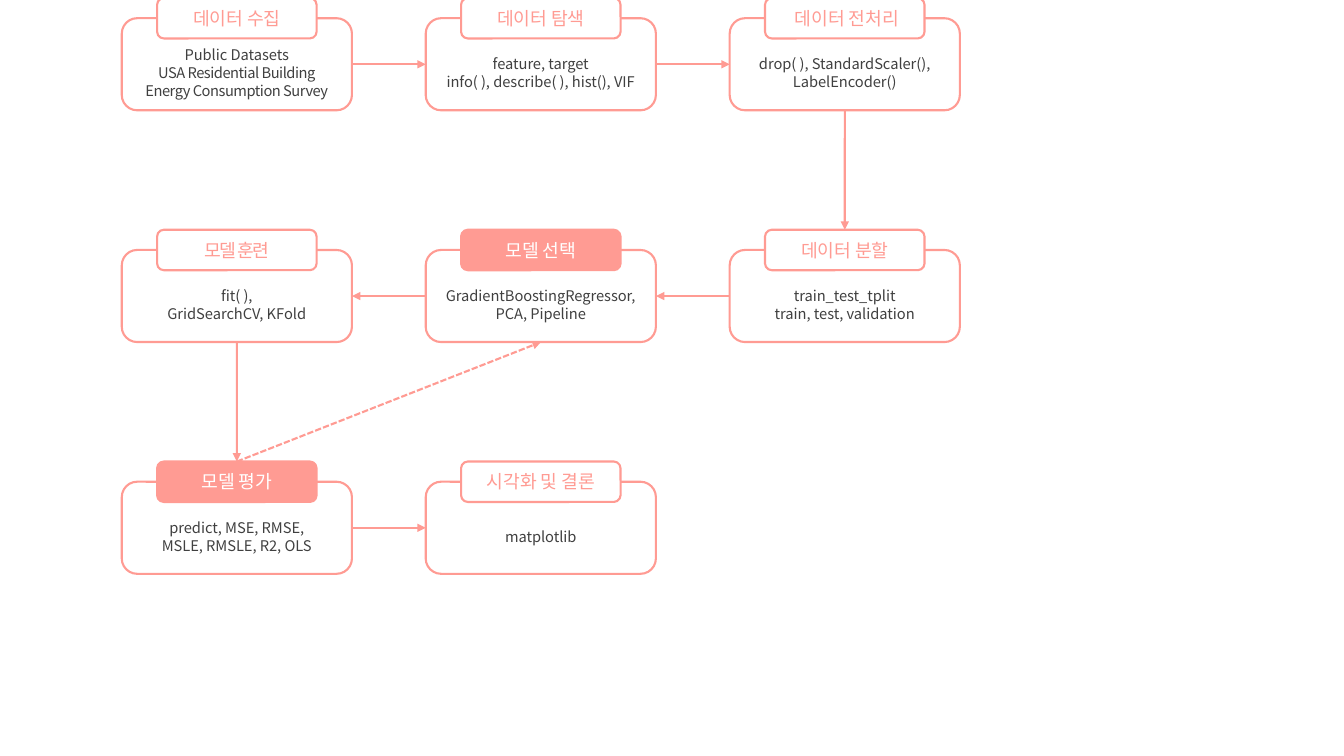
from collections import namedtuple

from lxml.etree import SubElement
from pptx import Presentation
from pptx.dml.color import RGBColor
from pptx.enum.dml import MSO_LINE_DASH_STYLE as Dash
from pptx.enum.shapes import MSO_CONNECTOR as Connector, MSO_SHAPE as Shape
from pptx.enum.text import MSO_ANCHOR as Anchor, PP_ALIGN as Align
from pptx.oxml.ns import qn
from pptx.util import Cm, Pt

COLORS = {"coral": "FF9B93", "white": "FFFFFF", "text": "404040"}
FONT = "Noto Sans CJK KR"
LINE_WIDTH = Pt(1.5)
CARD_WIDTH, CARD_HEIGHT = Cm(5.8), Cm(2.32)
TAB_WIDTH, TAB_HEIGHT = Cm(4.02), Cm(1.02)
LEFT, TOP = Cm(3.07), Cm(0.46)
COLUMN_STEP, ROW_STEP = Cm(7.66), Cm(5.84)
TEXT_DROP = Cm(0.43)
TOP_SITE, LEFT_SITE, BOTTOM_SITE, RIGHT_SITE = range(4)

Step = namedtuple("Step", "column row title lines filled spacing", defaults=(False, 0))
Stage = namedtuple("Stage", "card tab")

STEPS = {
    "collect": Step(0, 0, "데이터 수집", [
        ("Public Datasets", 0),
        ("USA Residential Building", -30),
        ("Energy Consumption Survey", -30),
    ]),
    "explore": Step(1, 0, "데이터 탐색", [
        ("feature, target", 0), ("info( ), describe( ), hist(), VIF", 0),
    ]),
    "prepare": Step(2, 0, " 데이터 전처리", [
        ("drop( ), StandardScaler(),", 0), ("LabelEncoder()", 0),
    ]),
    "split": Step(2, 1, "데이터 분할", [
        ("train_test_tplit", 0), ("train, test, validation", 0),
    ]),
    "select": Step(1, 1, "모델 선택", [
        ("GradientBoostingRegressor,", 0), ("PCA, Pipeline", 0),
    ], filled=True),
    "train": Step(0, 1, "모델 훈련", [
        ("fit( ),", 0), ("GridSearchCV, KFold", 0),
    ], spacing=-100),
    "evaluate": Step(0, 2, "모델 평가", [
        ("predict, MSE, RMSE,", 0), ("MSLE, RMSLE, R2, OLS", 0),
    ], filled=True),
    "conclude": Step(1, 2, "시각화 및 결론", [("matplotlib", 0)]),
}


def color(name):
    return RGBColor.from_string(COLORS[name])


def add_box(slide, left, top, width, height, fill):
    shape = slide.shapes.add_shape(Shape.ROUNDED_RECTANGLE, left, top, width, height)
    shape.shadow.inherit = False
    shape.fill.solid()
    shape.fill.fore_color.rgb = color(fill)
    shape.line.color.rgb = color("coral")
    shape.line.width = LINE_WIDTH
    frame = shape.text_frame
    frame.word_wrap = True
    frame.vertical_anchor = Anchor.MIDDLE
    frame.margin_left = frame.margin_right = frame.margin_top = frame.margin_bottom = 0
    return shape


def write_lines(frame, lines, size, font_color, line_spacing=None):
    for index, (text, spacing) in enumerate(lines):
        paragraph = frame.add_paragraph() if index else frame.paragraphs[0]
        paragraph.text = text
        paragraph.alignment = Align.CENTER
        paragraph.line_spacing = line_spacing
        font = paragraph.font
        font.size = Pt(size)
        font.color.rgb = color(font_color)
        font.name = FONT
        properties = font._rPr
        SubElement(properties, qn("a:ea")).set("typeface", FONT)
        if spacing:
            properties.set("spc", str(spacing))


def add_stage(slide, left, top, width, height, step):
    card = add_box(slide, left, top, width, height, "white")
    card.text_frame.margin_top = TEXT_DROP
    write_lines(card.text_frame, step.lines, 10.5, "text", Pt(12.9))
    tab = add_box(slide, left + (width - TAB_WIDTH) // 2, top - TAB_HEIGHT // 2,
                  TAB_WIDTH, TAB_HEIGHT, "coral" if step.filled else "white")
    write_lines(tab.text_frame, [(step.title, step.spacing)], 13,
                "white" if step.filled else "coral")
    return Stage(card, tab)


def add_arrow(slide, start, start_site, end, end_site, dashed=False):
    connector = slide.shapes.add_connector(Connector.STRAIGHT, 0, 0, 0, 0)
    connector.begin_connect(start, start_site)
    connector.end_connect(end, end_site)
    connector.line.color.rgb = color("coral")
    connector.line.width = LINE_WIDTH
    if dashed:
        connector.line.dash_style = Dash.SQUARE_DOT
    SubElement(connector.line._get_or_add_ln(), qn("a:tailEnd")).set("type", "triangle")
    SubElement(connector._element.spPr, qn("a:effectLst"))


def add_flow(slide, left, top):
    stages = {
        name: add_stage(slide, left + step.column * COLUMN_STEP,
                        top + step.row * ROW_STEP, CARD_WIDTH, CARD_HEIGHT, step)
        for name, step in STEPS.items()
    }
    for start, end in [("collect", "explore"), ("explore", "prepare"),
                       ("evaluate", "conclude")]:
        add_arrow(slide, stages[start].card, RIGHT_SITE, stages[end].card, LEFT_SITE)
    for start, end in [("split", "select"), ("select", "train")]:
        add_arrow(slide, stages[start].card, LEFT_SITE, stages[end].card, RIGHT_SITE)
    for start, end in [("prepare", "split"), ("train", "evaluate")]:
        add_arrow(slide, stages[start].card, BOTTOM_SITE, stages[end].tab, TOP_SITE)
    add_arrow(slide, stages["evaluate"].tab, TOP_SITE,
              stages["select"].card, BOTTOM_SITE, dashed=True)


def main():
    presentation = Presentation()
    presentation.slide_width, presentation.slide_height = Cm(33.87), Cm(19.05)
    slide = presentation.slides.add_slide(presentation.slide_layouts[6])
    add_flow(slide, LEFT, TOP)
    presentation.save("out.pptx")


if __name__ == "__main__":
    main()
